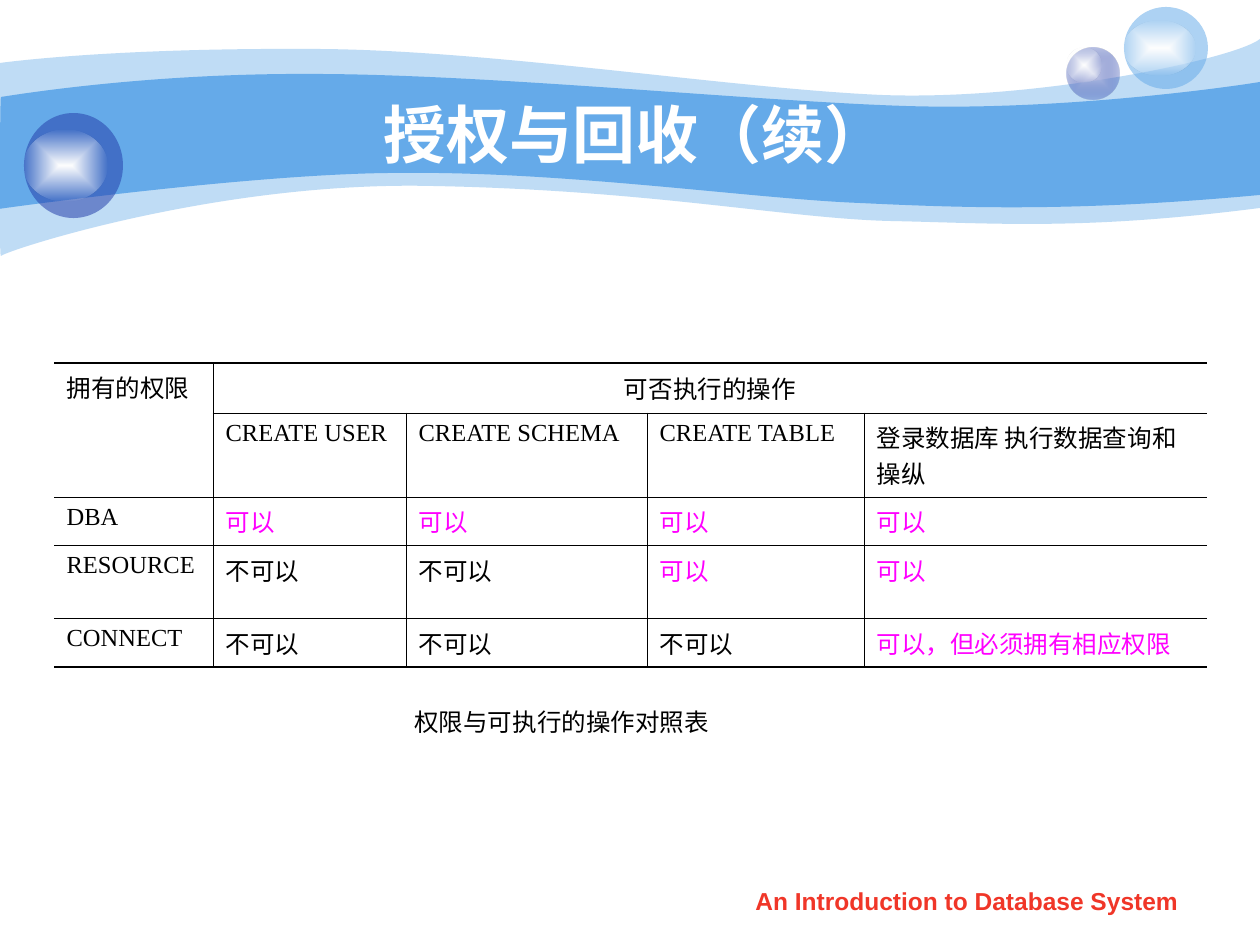
"""Build a slide on granting and revoking database rights."""
from dataclasses import dataclass
from typing import Any, Optional

from pptx import Presentation
from pptx.dml.color import RGBColor
from pptx.enum.shapes import MSO_SHAPE as Shape
from pptx.enum.text import MSO_ANCHOR as Anchor, MSO_AUTO_SIZE as Fit, PP_ALIGN as Align
from pptx.oxml import parse_xml
from pptx.oxml.ns import nsdecls, qn
from pptx.util import Pt

SCALE = 914400 / 126
HUES = {"sky": "65AAE9", "navy": "233DA9", "mist": "C6CCE8", "white": "FFFFFF",
        "clear": "FEFEFE", "black": "000000", "pink": "FF00FF", "red": "F03628"}
THIN, THICK = 0.45, 1.08


@dataclass
class Fill:
    hue: str
    alpha: int = 100
    core: Optional[str] = None


@dataclass
class Wave:
    start: tuple[int, int]
    legs: list[tuple[int, ...]]
    fill: Fill


@dataclass
class Ball:
    disc: tuple[int, int, int, int]
    glow: tuple[int, int, int, int]
    fill: Fill


@dataclass
class Note:
    text: str
    box: tuple[int, int, int, int]
    font: dict[str, Any]
    frame: dict[str, Any]
    align: Align


GLOW = Fill("clear", 0, "white")
BODY = {"size": Pt(14), "name": "Times New Roman", "bold": False}
BOLD = {"name": "Arial", "bold": True}

WAVES = [
    Wave((0, 63), [(30, 59, 135, 48, 311, 49), (486, 49, 725, 88, 881, 95),
                   (1036, 101, 1235, 59, 1260, 39), (1260, 208),
                   (1081, 231, 992, 223, 888, 221), (784, 218, 649, 190, 432, 186),
                   (217, 181, 5, 251, 1, 256), (-1, 262, 0, 95, 0, 63)], Fill("sky", 41)),
    Wave((1, 97), [(3, 97, 139, 73, 312, 74), (486, 74, 750, 101, 905, 106),
                   (1060, 111, 1230, 87, 1260, 82), (1260, 195),
                   (1075, 212, 964, 208, 859, 203), (755, 199, 563, 171, 399, 173),
                   (256, 173, -3, 209, -1, 209), (0, 209, 0, 97, 1, 97)], Fill("sky")),
]
BALLS = [
    Ball((1067, 48, 53, 51), (1067, 48, 35, 34), Fill("navy", 31, "mist")),
    Ball((1124, 7, 84, 82), (1124, 21, 71, 54), Fill("sky", 53)),
    Ball((24, 113, 99, 105), (24, 130, 83, 71), Fill("navy", 53)),
]
NOTES = [
    Note("权限与可执行的操作对照表", (402, 700, 325, 43), BODY | {"color": "black"},
         {"word_wrap": False, "auto_size": Fit.SHAPE_TO_FIT_TEXT,
          "vertical_anchor": Anchor.MIDDLE}, Align.LEFT),
    Note("An Introduction to Database System", (719, 880, 496, 44),
         BOLD | {"size": Pt(14), "color": "red"}, {"word_wrap": True}, Align.CENTER),
]
COLS = [159, 193, 241, 217, 343]
ROWS = [50, 72, 47, 73, 47]
YES, NO = "可以", "不可以"
CELLS = [
    ["拥有的权限", "可否执行的操作", "", "", ""],
    ["", "CREATE USER", "CREATE SCHEMA", "CREATE TABLE", "登录数据库 执行数据查询和操纵"],
    ["DBA", YES, YES, YES, YES],
    ["RESOURCE", NO, NO, YES, YES],
    ["CONNECT", NO, NO, NO, "可以，但必须拥有相应权限"],
]


def emu(*px: float) -> list[int]:
    return [round(n * SCALE) for n in px]


def put(item: Any, vals: dict[str, Any]) -> None:
    for key, val in vals.items():
        if key == "color":
            item.color.rgb = RGBColor.from_string(HUES[val])
        else:
            setattr(item, key, val)


def write(frame: Any, text: str, font: dict[str, Any], align: Align) -> None:
    para = frame.paragraphs[0]
    para.alignment = align
    run = para.add_run()
    run.text = text
    put(run.font, font)


def tint(hue: str, alpha: int = 100) -> str:
    clear = f'<a:alpha val="{alpha * 1000}"/>' if alpha < 100 else ""
    return f'<a:srgbClr val="{HUES[hue]}">{clear}</a:srgbClr>'


def paint(shape: Any, fill: Fill) -> None:
    shape.shadow.inherit = False
    shape.line.fill.background()
    shape.fill.solid()
    if fill.core:
        xml = (f'<a:gradFill {nsdecls("a")}><a:gsLst><a:gs pos="0">{tint(fill.core)}</a:gs>'
               f'<a:gs pos="100000">{tint(fill.hue, fill.alpha)}</a:gs></a:gsLst>'
               '<a:path path="rect"><a:fillToRect l="50000" t="50000" r="50000" b="50000"/>'
               '</a:path></a:gradFill>')
    else:
        xml = f'<a:solidFill {nsdecls("a")}>{tint(fill.hue, fill.alpha)}</a:solidFill>'
    props = shape._element.spPr
    props.replace(props.find(qn("a:solidFill")), parse_xml(xml))


def bend(shape: Any, legs: list[tuple[int, ...]]) -> None:
    lines = iter(list(shape._element.iter(qn("a:lnTo"))))
    for leg in legs:
        trio = [next(lines) for _ in leg[::2]]
        if len(trio) == 3:
            arc = parse_xml(f'<a:cubicBezTo {nsdecls("a")}/>')
            trio[0].addprevious(arc)
            for line in trio:
                arc.append(line[0])
                line.getparent().remove(line)


def draw_wave(shapes: Any, wave: Wave) -> None:
    pen = shapes.build_freeform(*emu(*wave.start), scale=1.0)
    for leg in wave.legs:
        pen.add_line_segments([emu(*dot) for dot in zip(leg[::2], leg[1::2])], close=False)
    pen.add_line_segments([], close=True)
    shape = pen.convert_to_shape()
    bend(shape, wave.legs)
    paint(shape, wave.fill)


def draw_ball(shapes: Any, ball: Ball) -> None:
    group = shapes.add_group_shape().shapes
    for box, fill in ((ball.disc, ball.fill), (ball.glow, GLOW)):
        paint(group.add_shape(Shape.OVAL, *emu(*box)), fill)


def draw_note(shapes: Any, note: Note) -> None:
    frame = shapes.add_textbox(*emu(*note.box)).text_frame
    put(frame, note.frame)
    write(frame, note.text, note.font, note.align)


def edge(cell: Any, row: int, col: int) -> None:
    end = len(ROWS) - 1
    sides = {"L": THIN if col else 0,
             "R": THIN if col < len(COLS) - 1 and (row or not col) else 0,
             "T": THIN if row else THICK, "B": THIN if row < end else THICK}
    props = cell._tc.get_or_add_tcPr()
    for i, (side, width) in enumerate(sides.items()):
        ink = f"<a:solidFill>{tint('black')}</a:solidFill>" if width else "<a:noFill/>"
        props.insert(i, parse_xml(f'<a:ln{side} {nsdecls("a")} w="{Pt(width)}">{ink}</a:ln{side}>'))


def draw_table(shapes: Any) -> None:
    box = emu(54, 363, sum(COLS), sum(ROWS))
    table = shapes.add_table(len(ROWS), len(COLS), *box).table
    put(table, {"first_row": False, "horz_banding": False})
    for col, wide in zip(table.columns, emu(*COLS)):
        col.width = wide
    for row, high in zip(table.rows, emu(*ROWS)):
        row.height = high
    table.cell(0, 0).merge(table.cell(1, 0))
    table.cell(0, 1).merge(table.cell(0, 4))
    for r, texts in enumerate(CELLS):
        for c, text in enumerate(texts):
            cell = table.cell(r, c)
            cell.fill.background()
            if cell.is_spanned:
                continue
            head = (r, c) == (0, 1)
            cell.vertical_anchor = Anchor.MIDDLE if head else Anchor.TOP
            hue = "pink" if text.startswith(YES) else "black"
            write(cell.text_frame, text, BODY | {"color": hue},
                  Align.CENTER if head else Align.LEFT)
            edge(cell, r, c)


def main() -> None:
    deck = Presentation()
    put(deck, dict(zip(("slide_width", "slide_height"), emu(1260, 945))))
    shapes = deck.slides.add_slide(deck.slide_layouts[5]).shapes
    for wave in WAVES:
        draw_wave(shapes, wave)
    for ball in BALLS:
        draw_ball(shapes, ball)
    title = shapes.title
    put(title, dict(zip(("left", "top", "width", "height"), emu(126, 94, 1018, 78))))
    put(title.text_frame, {"auto_size": Fit.NONE, "vertical_anchor": Anchor.MIDDLE})
    write(title.text_frame, "授权与回收（续）", BOLD | {"size": Pt(36), "color": "white"}, Align.CENTER)
    shapes._spTree.append(title._element)
    draw_table(shapes)
    for note in NOTES:
        draw_note(shapes, note)
    deck.save("out.pptx")


if __name__ == "__main__":
    main()
